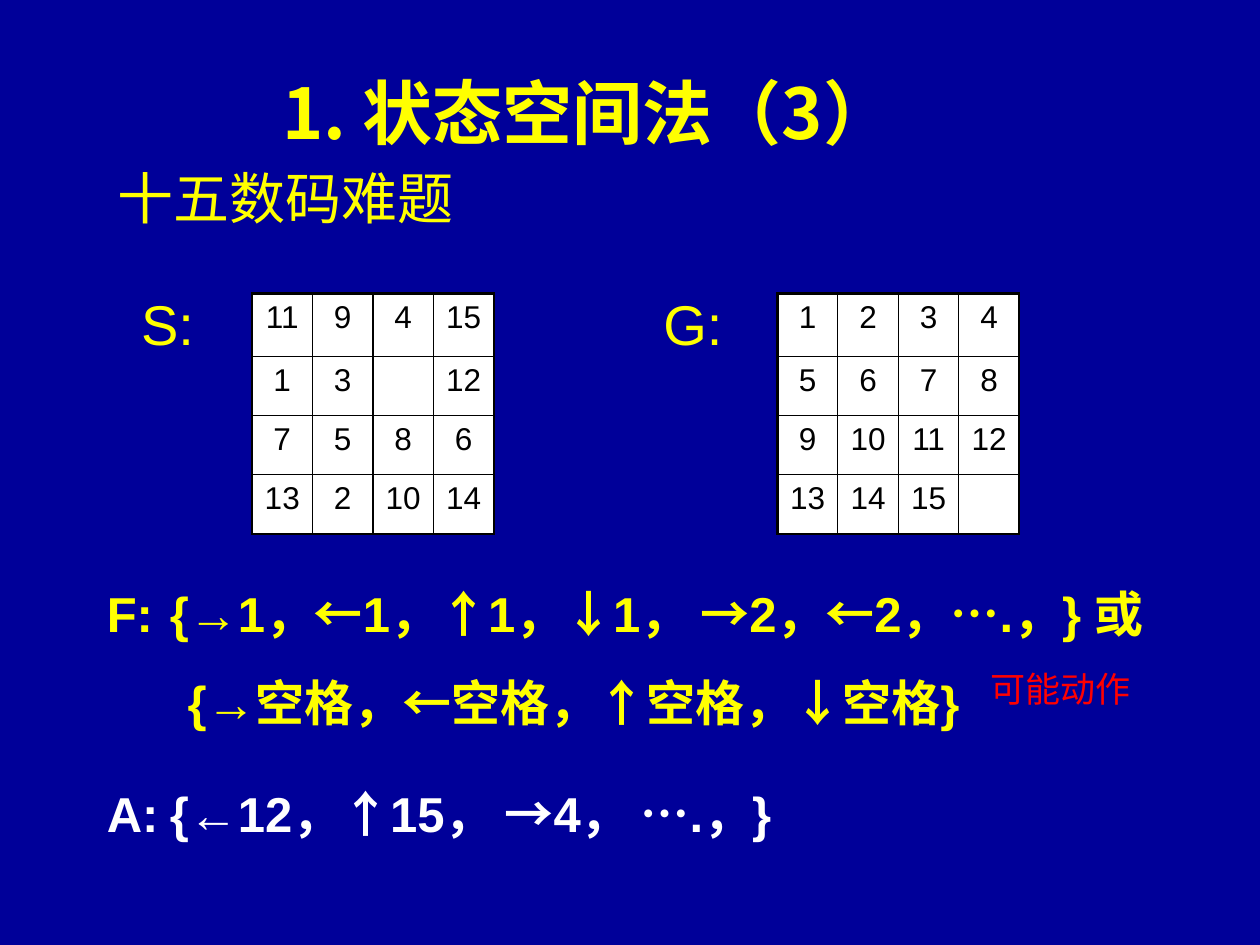
from lxml.etree import SubElement
from pptx import Presentation
from pptx.dml.color import RGBColor
from pptx.enum.text import MSO_ANCHOR, MSO_AUTO_SIZE, PP_ALIGN
from pptx.oxml.ns import qn
from pptx.util import Inches, Pt

COLORS = {
    "background": "000099",
    "heading": "FFFF00",
    "plain": "FFFFFF",
    "note": "FF0000",
    "tile": "FFFFFF",
    "ink": "000000",
}
LATIN_FONT = "Arial"
CHINESE_FONT = "Noto Sans CJK SC"
GRID_SIZE = 4
COLUMN_WIDTH = 0.48
ROW_HEIGHTS = [0.5, 0.47, 0.47, 0.47]
THIN, THICK = 0.75, 1.47

START_STATE = [
    ["11", "9", "4", "15"],
    ["1", "3", "", "12"],
    ["7", "5", "8", "6"],
    ["13", "2", "10", "14"],
]
GOAL_STATE = [
    ["1", "2", "3", "4"],
    ["5", "6", "7", "8"],
    ["9", "10", "11", "12"],
    ["13", "14", "15", ""],
]


def color(name):
    return RGBColor.from_string(COLORS[name])


def write_paragraph(paragraph, text, size, fill, font=LATIN_FONT, bold=False,
                    align=PP_ALIGN.LEFT, before=0, indent=0, tab=None):
    properties = paragraph._p.get_or_add_pPr()
    properties.set("marL", str(Inches(indent)))
    properties.set("indent", "0")
    paragraph.alignment = align
    paragraph.space_before = Pt(before)
    SubElement(properties, qn("a:buNone"))
    if tab:
        tabs = SubElement(properties, qn("a:tabLst"))
        SubElement(tabs, qn("a:tab"), pos=str(Inches(tab)), algn="l")
    run = paragraph.add_run()
    run.text = text
    run.font.size = Pt(size)
    run.font.bold = bold
    run.font.color.rgb = color(fill)
    run.font.name = font
    SubElement(run._r.get_or_add_rPr(), qn("a:ea"), typeface=CHINESE_FONT)


def place_text(shape, box, text, wrap=True, **style):
    shape.left, shape.top, shape.width, shape.height = map(Inches, box)
    frame = shape.text_frame
    frame.word_wrap = wrap
    frame.auto_size = MSO_AUTO_SIZE.NONE
    frame.vertical_anchor = MSO_ANCHOR.TOP
    write_paragraph(frame.paragraphs[0], text, **style)
    return frame


def add_text(slide, box, text, **style):
    shape = slide.shapes.add_textbox(*map(Inches, box))
    return place_text(shape, box, text, **style)


def add_border(cell, side, width):
    line = SubElement(cell._tc.get_or_add_tcPr(), qn(f"a:ln{side}"), w=str(Pt(width)))
    fill = SubElement(line, qn("a:solidFill"))
    SubElement(fill, qn("a:srgbClr"), val=COLORS["ink"])


def format_tile(cell, row, column, text):
    last = GRID_SIZE - 1
    outer_sides = {"L": column == 0, "R": column == last, "T": row == 0, "B": row == last}
    for side, is_outer in outer_sides.items():
        add_border(cell, side, THICK if is_outer else THIN)
    cell.fill.solid()
    cell.fill.fore_color.rgb = color("tile")
    if text:
        write_paragraph(cell.text_frame.paragraphs[0], text, size=18, fill="ink",
                        align=PP_ALIGN.CENTER)


def add_puzzle(slide, left, top, state):
    frame = slide.shapes.add_table(
        GRID_SIZE, GRID_SIZE, Inches(left), Inches(top),
        Inches(COLUMN_WIDTH * GRID_SIZE), Inches(sum(ROW_HEIGHTS)))
    table = frame.table
    table.first_row = False
    table.horz_banding = False
    for column in table.columns:
        column.width = Inches(COLUMN_WIDTH)
    for row, height in enumerate(ROW_HEIGHTS):
        table.rows[row].height = Inches(height)
        for column, text in enumerate(state[row]):
            format_tile(table.cell(row, column), row, column, text)


def main():
    presentation = Presentation()
    presentation.slide_width = Inches(10)
    presentation.slide_height = Inches(7.5)
    slide = presentation.slides.add_slide(presentation.slide_layouts[1])
    slide.background.fill.solid()
    slide.background.fill.fore_color.rgb = color("background")

    place_text(slide.shapes.title, (0.58, 0.5, 8.17, 0.77), "1. 状态空间法（3）",
               size=40, fill="heading", font=CHINESE_FONT, bold=True,
               align=PP_ALIGN.CENTER)
    place_text(slide.placeholders[1], (0.83, 1.25, 8.67, 0.64), "十五数码难题",
               size=32, fill="heading", font=CHINESE_FONT)

    puzzles = [("S:", 0.83, 2, START_STATE), ("G:", 5, 6.17, GOAL_STATE)]
    for label, label_left, grid_left, state in puzzles:
        add_puzzle(slide, grid_left, 2.33, state)
        add_text(slide, (label_left, 2.25, 1, 0.64), label, size=32, fill="heading",
                 align=PP_ALIGN.CENTER)

    operators = add_text(slide, (0.75, 4.58, 8.83, 1.75),
                         "F:\t{→1，←1，↑1，↓1， →2，←2，….，} 或",
                         size=28, fill="heading", bold=True, tab=0.68)
    write_paragraph(operators.add_paragraph(), "{→空格，←空格，↑空格，↓空格}",
                    size=28, fill="heading", bold=True, before=17.5, indent=0.64)
    add_text(slide, (0.75, 6.17, 8.67, 0.57), "A:\t{←12，↑15， →4， ….，}",
             size=28, fill="plain", bold=True, tab=0.62)
    add_text(slide, (7.76, 5.25, 1.31, 0.44), "可能动作", wrap=False,
             size=20, fill="note", align=PP_ALIGN.CENTER)

    presentation.save("out.pptx")


if __name__ == "__main__":
    main()
